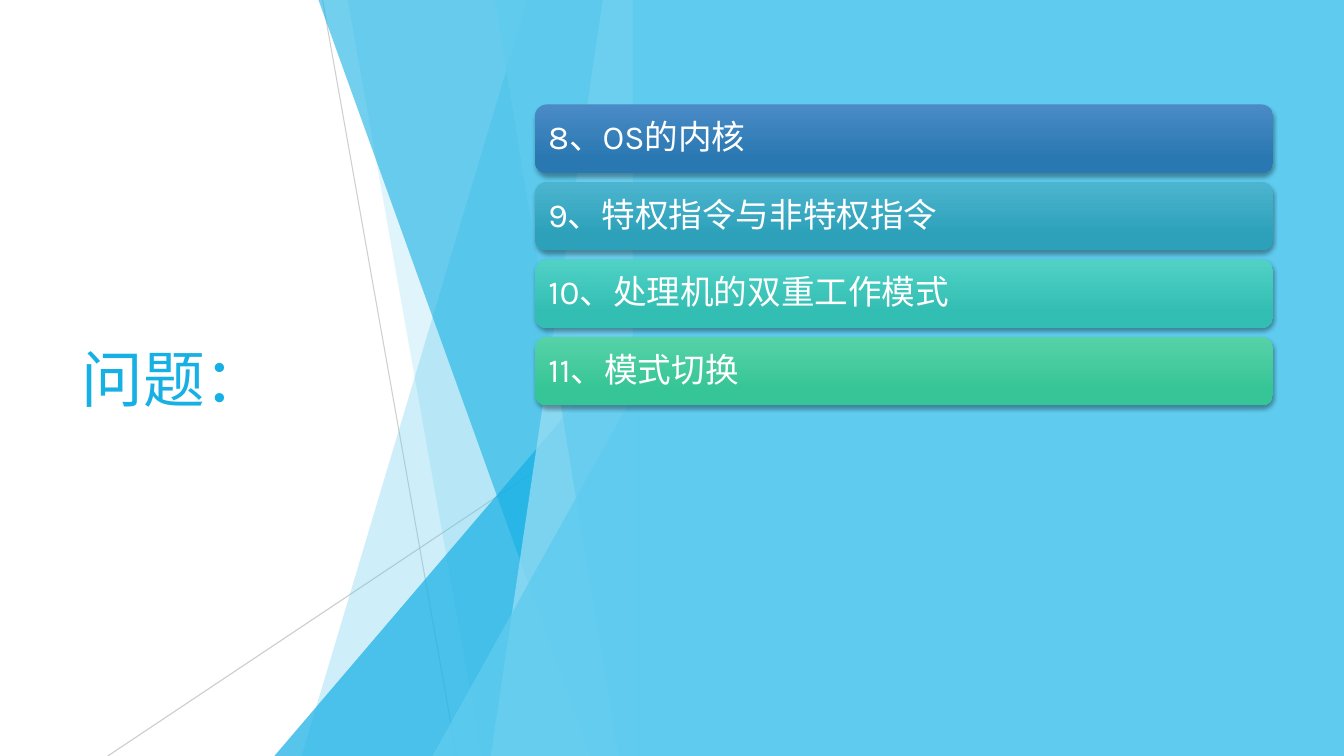
import lxml.etree
import pptx
import pptx.dml.color
import pptx.enum.shapes
import pptx.enum.text
import pptx.oxml.ns
import pptx.util

Pt = pptx.util.Pt
RGBColor = pptx.dml.color.RGBColor
Shape = pptx.enum.shapes.MSO_SHAPE
qn = pptx.oxml.ns.qn

WHITE = RGBColor(0xFF, 0xFF, 0xFF)
BLACK = RGBColor(0, 0, 0)
GREY = RGBColor(0xBF, 0xBF, 0xBF)
SKY = RGBColor(0x5F, 0xCB, 0xEF)
PALE_SKY = RGBColor(0x9F, 0xE0, 0xF5)
BLUE = RGBColor(0x17, 0xB0, 0xE4)
FONT = "Karla"

QUESTIONS = [
    ("8、OS的内核", RGBColor(0x4A, 0x8B, 0xC6), RGBColor(0x2A, 0x78, 0xB2)),
    ("9、特权指令与非特权指令", RGBColor(0x4C, 0xB4, 0xCE), RGBColor(0x2D, 0xA1, 0xBA)),
    ("10、处理机的双重工作模式", RGBColor(0x50, 0xD1, 0xC6), RGBColor(0x33, 0xBE, 0xB3)),
    ("11、模式切换", RGBColor(0x56, 0xD2, 0xA7), RGBColor(0x36, 0xC5, 0x96)),
]

RAYS = [((34.4, 0), (130.2, 540), 75), ((256, 290), (-119, 540), 80)]

FACETS = [
    ("band", 180.7, 19.4, SKY, 30),
    ("band", 52.4, 148.2, SKY, 20),
    ("triangle", 0, 240, BLUE, 72),
    ("band", 31.5, 225.9, BLUE, 60),
    ("band", 234.6, 154.6, PALE_SKY, 70),
    ("band", 157.5, 245.4, SKY, 65),
    ("triangle", 112.9, 283, SKY, 80),
]


def write_text(box, text, size, color, line_spacing=None):
    """Write one left-aligned, vertically centred paragraph into a shape."""
    frame = box.text_frame
    frame.word_wrap = True
    frame.auto_size = pptx.enum.text.MSO_AUTO_SIZE.NONE
    frame.vertical_anchor = pptx.enum.text.MSO_ANCHOR.MIDDLE
    para = frame.paragraphs[0]
    para.alignment = pptx.enum.text.PP_ALIGN.LEFT
    para.line_spacing = line_spacing
    span = para.add_run()
    span.text = text
    span.font.name = FONT
    span.font.size = Pt(size)
    span.font.color.rgb = color


def set_opacity(element, percent):
    """Make the colour inside a fill or line partly transparent."""
    color = next(element.iter(qn("a:srgbClr")))
    lxml.etree.SubElement(color, qn("a:alpha"), val=str(percent * 1000))


def paint(shape, color, opacity=100):
    """Give a shape a flat fill without outline or shadow."""
    shape.shadow.inherit = False
    shape.fill.solid()
    shape.fill.fore_color.rgb = color
    shape.line.fill.background()
    if opacity < 100:
        set_opacity(shape.fill._xPr, opacity)


def add_ray(page, start, end, opacity):
    """Draw one thin grey line between two points."""
    ray = page.shapes.add_connector(
        pptx.enum.shapes.MSO_CONNECTOR.STRAIGHT, *map(Pt, start + end))
    ray.line.width = Pt(0.75)
    ray.line.color.rgb = GREY
    set_opacity(ray.line._ln, opacity)
    lxml.etree.SubElement(ray._element.spPr, qn("a:effectLst"))


def add_facets(page, left, top, width, height):
    """Draw the rays and overlapping facets against the right side of the box."""
    right, bottom = left + width, top + height
    for start, end, opacity in RAYS:
        add_ray(page, (left + start[0], top + start[1]),
                (left + end[0], top + end[1]), opacity)
    for kind, first, second, color, opacity in FACETS:
        if kind == "band":
            outline = page.shapes.build_freeform(Pt(left + first), Pt(top))
            corners = [(right, top), (right, bottom), (left + second, bottom)]
            outline.add_line_segments([(Pt(x), Pt(y)) for x, y in corners])
            facet = outline.convert_to_shape()
        else:
            facet = page.shapes.add_shape(
                Shape.ISOSCELES_TRIANGLE, Pt(left + first), Pt(top + second),
                Pt(width - first), Pt(height - second))
            facet.adjustments[0] = 1
        paint(facet, color, opacity)


def add_title(page, left, top, width, height):
    """Place the slide title in the box."""
    title = page.shapes.title
    title.left, title.top, title.width, title.height = map(
        Pt, (left, top, width, height))
    write_text(title, "问题：", size=44, color=BLUE)


def add_panel(page, left, top, width, height):
    """Fill the box with the plain sky panel."""
    panel = page.shapes.add_shape(
        Shape.RECTANGLE, *map(Pt, (left, top, width, height)))
    paint(panel, SKY)


def add_shadow(shape):
    """Add a soft shadow falling straight down."""
    shape.shadow.inherit = False
    effects = shape._element.spPr.find(qn("a:effectLst"))
    shadow = lxml.etree.SubElement(
        effects, qn("a:outerShdw"), blurRad=str(Pt(3)), dist=str(Pt(2)),
        dir="5400000", algn="ctr", rotWithShape="0")
    lxml.etree.SubElement(shadow, qn("a:srgbClr"), val=str(BLACK))
    set_opacity(shadow, 35)


def add_questions(page, left, top, width, height):
    """Stack the question banners evenly in the box."""
    gap = 6.3
    banner_height = (height - gap * (len(QUESTIONS) - 1)) / len(QUESTIONS)
    for index, (text, light, dark) in enumerate(QUESTIONS):
        banner = page.shapes.add_shape(
            Shape.ROUNDED_RECTANGLE, Pt(left),
            Pt(top + index * (banner_height + gap)), Pt(width), Pt(banner_height))
        banner.fill.gradient()
        banner.fill.gradient_angle = 270
        stops = banner.fill.gradient_stops
        for stop, color, position in zip(stops, (light, dark), (0, 0.78)):
            stop.color.rgb = color
            stop.position = position
        banner.line.fill.background()
        add_shadow(banner)
        write_text(banner, text, size=24, color=WHITE, line_spacing=0.9)


def main():
    """Build the slide and save the deck."""
    deck = pptx.Presentation()
    deck.slide_width, deck.slide_height = Pt(960), Pt(540)
    page = deck.slides.add_slide(deck.slide_layouts[5])
    page.background.fill.solid()
    page.background.fill.fore_color.rgb = WHITE
    add_facets(page, 196, 0, 256, 540)
    add_title(page, 51, 108.7, 279.4, 322.6)
    add_panel(page, 452, 0, 508, 540)
    add_questions(page, 382.3, 74.6, 527, 215)
    deck.save("out.pptx")


if __name__ == "__main__":
    main()
